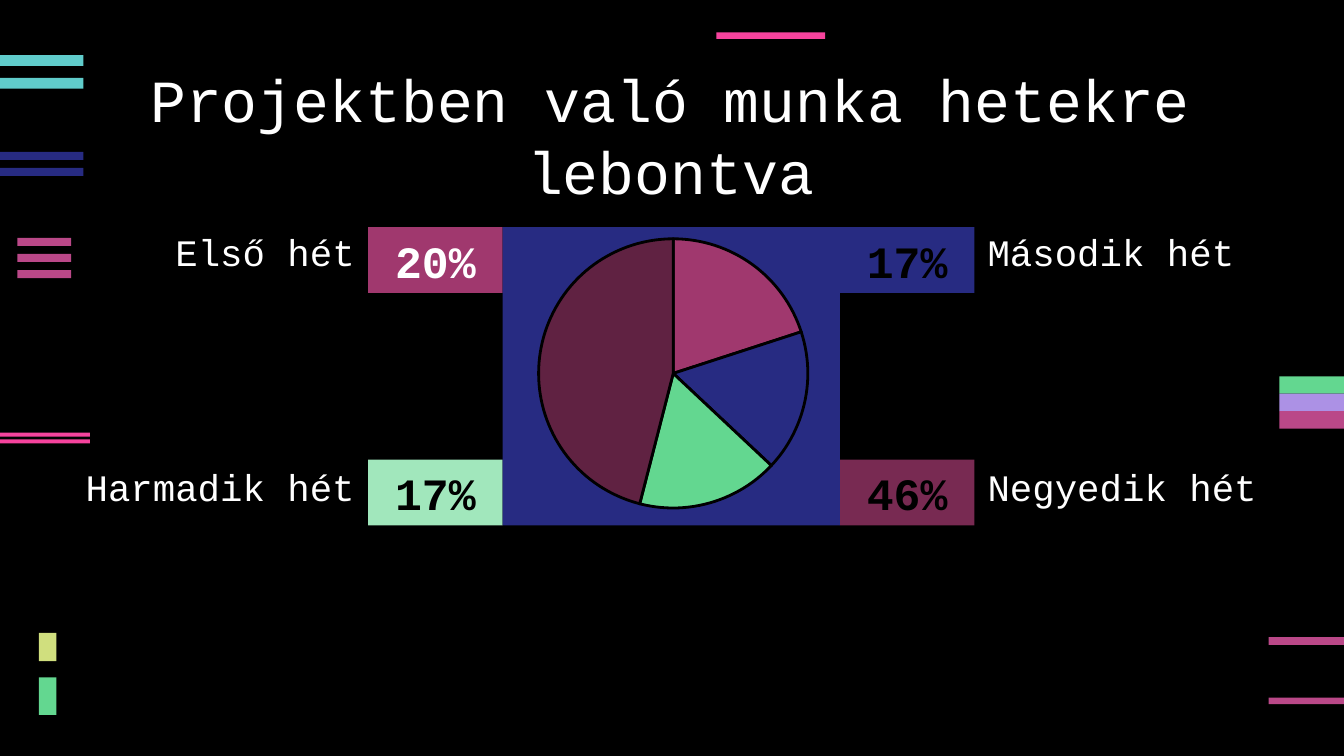
import pptx
import pptx.chart.data
import pptx.dml.color
import pptx.enum.chart
import pptx.enum.shapes
import pptx.enum.text
import pptx.oxml
import pptx.util
from dataclasses import dataclass

Inches = pptx.util.Inches
Pt = pptx.util.Pt
ALIGN = pptx.enum.text.PP_ALIGN
ANCHOR = pptx.enum.text.MSO_ANCHOR


@dataclass(frozen=True)
class Theme:
    font: str = "Courier New"
    chart_font: str = "Arial"
    title_size: int = 32
    badge_size: int = 24
    label_size: int = 20
    chart_size: int = 10
    black: str = "000000"
    white: str = "FFFFFF"
    navy: str = "272B82"
    berry: str = "A0386E"
    plum: str = "782A52"
    wine: str = "602242"
    mint: str = "A1E7BC"
    green: str = "63D790"
    rose: str = "BA4888"
    pink: str = "F6439D"
    teal: str = "60CCCB"
    lilac: str = "AC91E5"
    lime: str = "D0DF7E"


THEME = Theme()

BARS = [
    (THEME.rose, 0.13, 0.4, 0.06, (1.77, 1.89, 2.01)),
    (THEME.rose, 9.44, 0.56, 0.06, (4.74,)),
    (THEME.rose, 9.44, 0.56, 0.05, (5.19,)),
    (THEME.pink, 5.33, 0.81, 0.05, (0.24,)),
    (THEME.teal, 0, 0.62, 0.08, (0.41, 0.58)),
    (THEME.green, 9.52, 0.48, 0.13, (2.8,)),
    (THEME.lilac, 9.52, 0.48, 0.13, (2.93,)),
    (THEME.rose, 9.52, 0.48, 0.13, (3.06,)),
    (THEME.lime, 0.29, 0.13, 0.21, (4.71,)),
    (THEME.green, 0.29, 0.13, 0.28, (5.04,)),
    (THEME.pink, 0, 0.67, 0.03, (3.22, 3.27)),
    (THEME.navy, 0, 0.62, 0.06, (1.13, 1.25)),
]

WEEKS = [
    ("Első hét", 20, THEME.berry, THEME.berry, THEME.white),
    ("Második hét", 17, THEME.navy, THEME.navy, THEME.black),
    ("Harmadik hét", 17, THEME.mint, THEME.green, THEME.black),
    ("Negyedik hét", 46, THEME.plum, THEME.wine, THEME.black),
]


def rgb(value):
    return pptx.dml.color.RGBColor.from_string(value)


def box(left, top, width, height):
    return [Inches(v) for v in (left, top, width, height)]


def set_text(sp, text, size, color, align, anchor, bold=False):
    tf = sp.text_frame
    tf.word_wrap = True
    tf.auto_size = pptx.enum.text.MSO_AUTO_SIZE.NONE
    tf.vertical_anchor = anchor
    tf.margin_left = tf.margin_right = Inches(0.1)
    tf.margin_top = tf.margin_bottom = Inches(0.1)
    p = tf.paragraphs[0]
    p.text = text
    p.alignment = align
    p.font.name = THEME.font
    p.font.size = Pt(size)
    p.font.bold = bold
    p.font.color.rgb = rgb(color)


def add_rect(s, left, top, width, height, color):
    sp = s.shapes.add_shape(pptx.enum.shapes.MSO_SHAPE.RECTANGLE,
                            *box(left, top, width, height))
    sp.shadow.inherit = False
    sp.fill.solid()
    sp.fill.fore_color.rgb = rgb(color)
    sp.line.fill.background()
    return sp


def set_title(s, text):
    sp = s.shapes.title
    sp.left, sp.top, sp.width, sp.height = box(0.82, 0.37, 8.34, 1.14)
    set_text(sp, text, THEME.title_size, THEME.white, ALIGN.CENTER, ANCHOR.TOP)
    sp.text_frame.paragraphs[0].line_spacing = 1.0


def add_bars(s):
    for color, left, width, height, tops in BARS:
        for top in tops:
            add_rect(s, left, top, width, height, color)


def add_week(s, index, name, share, fill, text_color):
    row, col = divmod(index, 2)
    top = (1.69, 3.42)[row]
    sp = add_rect(s, (2.74, 6.25)[col], top, 1, 0.49, fill)
    set_text(sp, f"{share}%", THEME.badge_size, text_color, ALIGN.CENTER,
             ANCHOR.MIDDLE, True)
    left = (0.43, 7.25)[col]
    width = (2.31, 2.23)[col]
    if index == 0:
        left, width = 0.78, 1.96
    label = s.shapes.add_textbox(*box(left, (1.69, 3.44)[row], width, 0.45))
    set_text(label, name, THEME.label_size, THEME.white,
             (ALIGN.RIGHT, ALIGN.LEFT)[col], ANCHOR.BOTTOM)


def set_plot_area(chart, x, y, w, h):
    ns = "http://schemas.openxmlformats.org/drawingml/2006/chart"
    area = chart.plots[0]._element.getparent()
    for old in area.findall(f"{{{ns}}}layout"):
        area.remove(old)
    sizes = "".join(f'<c:{k} val="{v}"/>'
                    for k, v in (("x", x), ("y", y), ("w", w), ("h", h)))
    area.insert(0, pptx.oxml.parse_xml(
        f'<c:layout xmlns:c="{ns}"><c:manualLayout>'
        '<c:layoutTarget val="inner"/><c:xMode val="edge"/>'
        f'<c:yMode val="edge"/>{sizes}</c:manualLayout></c:layout>'))


def add_pie(s):
    data = pptx.chart.data.CategoryChartData()
    data.categories = [str(i + 1) for i in range(len(WEEKS))]
    data.add_series(" ", [week[1] for week in WEEKS])
    chart = s.shapes.add_chart(pptx.enum.chart.XL_CHART_TYPE.PIE,
                               *box(2.96, 1.66, 4.1, 2.73), data).chart
    chart.has_title = False
    chart.has_legend = False
    chart.font.name = THEME.chart_font
    chart.font.size = Pt(THEME.chart_size)
    chart.font.color.rgb = rgb(THEME.white)
    plot = chart.plots[0]
    plot.vary_by_categories = True
    for i, week in enumerate(WEEKS):
        fmt = plot.series[0].points[i].format
        fmt.fill.solid()
        fmt.fill.fore_color.rgb = rgb(week[3])
        fmt.line.color.rgb = rgb(THEME.black)
        fmt.line.width = Pt(1.5)
    set_plot_area(chart, 0.255, 0.043, 0.49, 0.734)


def main():
    prs = pptx.Presentation()
    prs.slide_width = Inches(10)
    prs.slide_height = Inches(10 * 9 / 16)
    s = prs.slides.add_slide(prs.slide_layouts[5])
    s.background.fill.solid()
    s.background.fill.fore_color.rgb = rgb(THEME.black)
    add_bars(s)
    set_title(s, "Projektben való munka hetekre lebontva")
    for i, (name, share, fill, _, text_color) in enumerate(WEEKS):
        add_week(s, i, name, share, fill, text_color)
    add_rect(s, 3.74, 1.69, 2.51, 2.22, THEME.navy)
    add_pie(s)
    prs.save("out.pptx")


if __name__ == "__main__":
    main()
